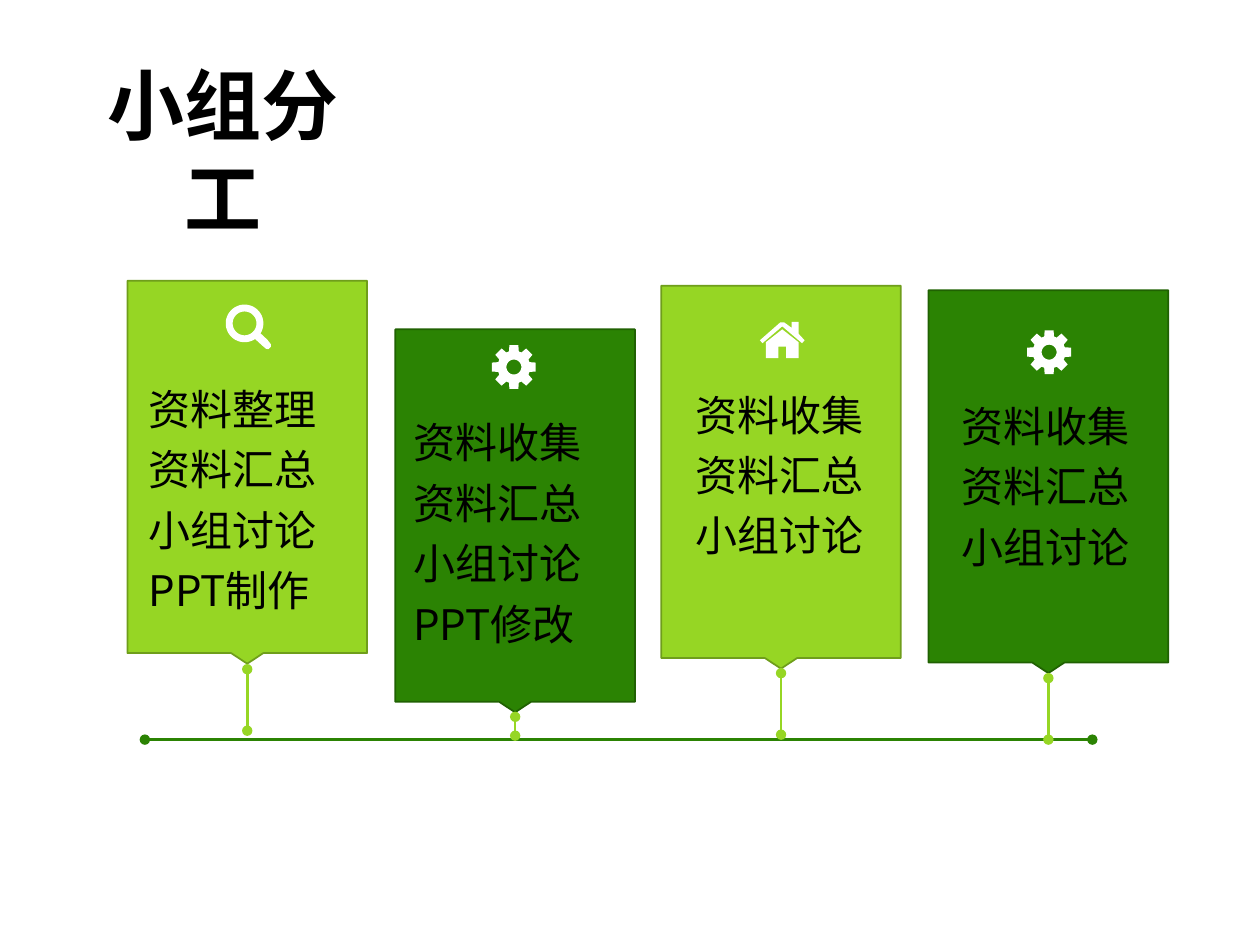
from dataclasses import dataclass
from math import cos, radians, sin

from lxml import etree
from pptx import Presentation
from pptx import util as u
from pptx.dml.color import RGBColor
from pptx.enum import shapes, text
from pptx.oxml.ns import qn

Point = tuple[float, float]
Contour = list[Point]


@dataclass(frozen=True)
class Theme:
    light: str = "96D624"
    light_edge: str = "6F9E1B"
    dark: str = "2B8303"
    dark_edge: str = "206102"
    icon: str = "FFFFFF"
    ink: str = "000000"
    title_font: str = "Calibri"
    body_font: str = "Noto Sans CJK SC"
    title_size: int = 44
    body_size: int = 24
    edge_width: float = 1
    line_width: float = 1.5


@dataclass(frozen=True)
class Card:
    left: float
    top: float
    fill: str
    edge: str
    icon: list[Contour]
    icon_center: Point
    text_at: tuple[float, float, float, float]
    tasks: list[str]
    stem: Point


THEME = Theme()
CARD_WIDTH, CARD_HEIGHT = 4.83, 7.72
AXIS_Y = 14.91


def polar(radius: float, degrees: float, center: Point = (0, 0)) -> Point:
    return (center[0] + radius * cos(radians(degrees)),
            center[1] + radius * sin(radians(degrees)))


def arc(radius: float, start: int, end: int, center: Point = (0, 0)) -> Contour:
    return [polar(radius, angle, center) for angle in range(start, end + 1, 8)]


def gear() -> list[Contour]:
    tooth = [(0.33, -17.5), (0.45, -11.5), (0.45, 11.5), (0.33, 17.5)]
    rim = [polar(radius, turn + angle)
           for turn in range(0, 360, 45) for radius, angle in tooth]
    return [rim, arc(0.15, 0, 352)]


def magnifier() -> list[Contour]:
    handle = [(0.46, 0.33), (0.53, 0.42), (0.53, 0.47), (0.48, 0.52), (0.43, 0.51), (0.36, 0.45)]
    return [arc(0.38, 56, 392) + handle, arc(0.24, 0, 352)]


def house() -> list[Contour]:
    roof = [(0.40, 0.07), (0, -0.27), (-0.40, 0.07), (-0.45, 0.01), (-0.04, -0.35),
            (0.04, -0.35), (0.19, -0.24), (0.19, -0.36), (0.33, -0.36),
            (0.33, -0.12), (0.45, 0.01)]
    walls = [(0.33, 0.37), (0.08, 0.37), (0.08, 0.14), (-0.08, 0.14), (-0.08, 0.37),
             (-0.33, 0.37), (-0.33, 0.05), (0, -0.21), (0.33, 0.05)]
    return [roof, walls]


def rgb(value: str) -> RGBColor:
    return RGBColor.from_string(value)


def draw_icon(page, contours: list[Contour], center: Point) -> None:
    scaled = [[(x * 1000, y * 1000) for x, y in contour] for contour in contours]
    builder = page.shapes.build_freeform(*scaled[0][0], scale=u.Cm(0.001))
    builder.add_line_segments(scaled[0][1:])
    for contour in scaled[1:]:
        builder.move_to(*contour[0])
        builder.add_line_segments(contour[1:])
    icon = builder.convert_to_shape(u.Cm(center[0]), u.Cm(center[1]))
    icon.shadow.inherit = False
    icon.fill.solid()
    icon.fill.fore_color.rgb = rgb(THEME.icon)
    icon.line.fill.background()


def draw_line(page, start: Point, end: Point, color: str) -> None:
    line = page.shapes.add_connector(
        shapes.MSO_CONNECTOR.STRAIGHT, *(u.Cm(value) for value in start + end))
    line.line.color.rgb = rgb(color)
    line.line.width = u.Pt(THEME.line_width)
    outline = line.line._get_or_add_ln()
    for tag in ("a:headEnd", "a:tailEnd"):
        etree.SubElement(outline, qn(tag), type="oval")
    etree.SubElement(line._element.spPr, qn("a:effectLst"))


def draw_text(page, at, lines: list[str], font: str, size: int, align,
              spacing: float = 1, bold: bool = False) -> None:
    box = page.shapes.add_textbox(*(u.Cm(value) for value in at))
    frame = box.text_frame
    frame.word_wrap = True
    frame.auto_size = text.MSO_AUTO_SIZE.SHAPE_TO_FIT_TEXT
    frame.margin_left = frame.margin_right = u.Cm(0.18)
    frame.margin_top = frame.margin_bottom = u.Cm(0.1)
    frame.text = "\n".join(lines)
    for para in frame.paragraphs:
        para.alignment = align
        para.line_spacing = spacing
        para.font.name = font
        para.font.size = u.Pt(size)
        para.font.bold = bold
        para.font.color.rgb = rgb(THEME.ink)


def draw_card(page, card: Card) -> None:
    panel = page.shapes.add_shape(
        shapes.MSO_SHAPE.DOWN_ARROW_CALLOUT, u.Cm(card.left), u.Cm(card.top),
        u.Cm(CARD_WIDTH), u.Cm(CARD_HEIGHT))
    for index, value in enumerate((0.25, 0.067, 0.044, 0.975)):
        panel.adjustments[index] = value
    panel.shadow.inherit = False
    panel.fill.solid()
    panel.fill.fore_color.rgb = rgb(card.fill)
    panel.line.color.rgb = rgb(card.edge)
    panel.line.width = u.Pt(THEME.edge_width)
    draw_icon(page, card.icon, card.icon_center)
    draw_text(page, card.text_at, card.tasks, THEME.body_font, THEME.body_size,
              text.PP_ALIGN.JUSTIFY, spacing=1.2)
    middle = card.left + CARD_WIDTH / 2
    draw_line(page, (middle, card.stem[0]), (middle, card.stem[1]), THEME.light)


def main() -> None:
    """Build the team task slide."""
    light, dark = (THEME.light, THEME.light_edge), (THEME.dark, THEME.dark_edge)
    shared = ["资料收集", "资料汇总", "小组讨论"]
    cards = [
        Card(2.57, 5.66, *light, magnifier(), (4.93, 6.52), (2.82, 7.42, 4.32, 5),
             ["资料整理", "资料汇总", "小组讨论", "PPT制作"], (13.49, 14.73)),
        Card(7.97, 6.64, *dark, gear(), (10.36, 7.4), (8.15, 8.1, 4.32, 5),
             shared + ["PPT修改"], (14.45, 14.83)),
        Card(13.33, 5.76, *light, house(), (15.77, 6.85), (13.84, 7.54, 4.32, 3.78),
             shared, (13.57, 14.81)),
        Card(18.72, 5.85, *dark, gear(), (21.15, 7.1), (19.2, 7.77, 4.14, 3.78),
             shared, (13.67, AXIS_Y)),
    ]
    deck = Presentation()
    deck.slide_width, deck.slide_height = u.Cm(25.4), u.Cm(19.05)
    page = deck.slides.add_slide(deck.slide_layouts[6])
    draw_line(page, (2.92, AXIS_Y), (22.02, AXIS_Y), THEME.dark)
    for card in cards:
        draw_card(page, card)
    draw_text(page, (1.29, 1.07, 6.4, 2.06), ["小组分工"], THEME.title_font,
              THEME.title_size, text.PP_ALIGN.CENTER, bold=True)
    deck.save("out.pptx")


if __name__ == "__main__":
    main()
